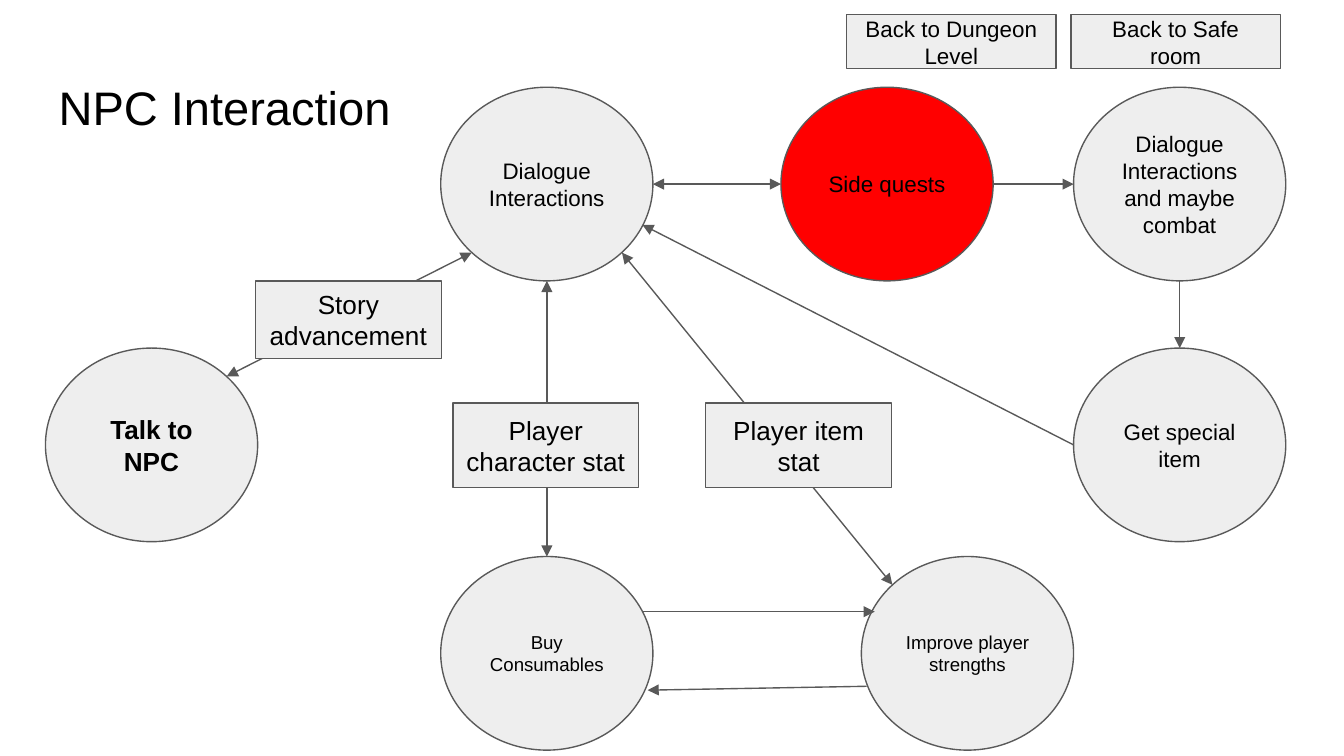
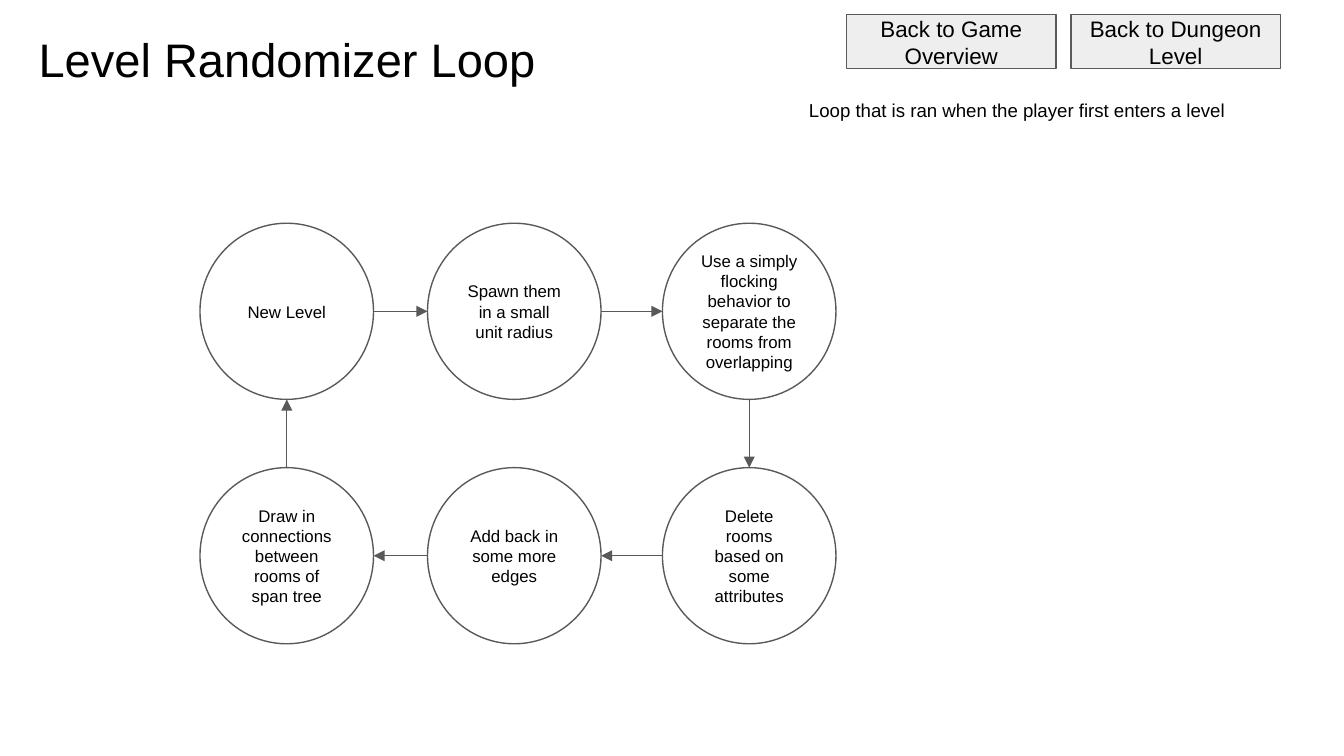
from lxml import etree
from pptx import Presentation
from pptx.dml.color import RGBColor
from pptx.enum.shapes import MSO_CONNECTOR, MSO_SHAPE
from pptx.enum.text import MSO_ANCHOR, PP_ALIGN
from pptx.oxml.ns import qn
from pptx.util import Cm, Pt

OVAL, RECTANGLE = MSO_SHAPE.OVAL, MSO_SHAPE.RECTANGLE
STRAIGHT = MSO_CONNECTOR.STRAIGHT
CENTER, LEFT = PP_ALIGN.CENTER, PP_ALIGN.LEFT
MIDDLE, TOP_ANCHOR = MSO_ANCHOR.MIDDLE, MSO_ANCHOR.TOP

GREY = RGBColor(0xEE, 0xEE, 0xEE)
OUTLINE = RGBColor(0x59, 0x59, 0x59)
RED = RGBColor(0xFF, 0x00, 0x00)
BLACK = RGBColor(0x00, 0x00, 0x00)
FONT = "Arial"
LINE_WIDTH = Pt(0.75)
TITLE_SIZE = 25.2
INSET = Cm(0.25)

# Points on a circle's rim, as fractions of its width and height
TOP, BOTTOM, LEFT_SIDE, RIGHT_SIDE = (0.5, 0), (0.5, 1), (0, 0.5), (1, 0.5)
TOP_LEFT, TOP_RIGHT = (0.146, 0.146), (0.854, 0.146)
BOTTOM_LEFT, BOTTOM_RIGHT = (0.146, 0.854), (0.854, 0.854)


def add_text(slide, kind, text, place, size, fill=None, bold=False):
    """Add a text box (kind None) or an outlined shape with centred text."""
    box = [Cm(length) for length in place]
    if kind is None:
        shape = slide.shapes.add_textbox(*box)
    else:
        shape = slide.shapes.add_shape(kind, *box)
        shape.shadow.inherit = False
        shape.line.color.rgb = OUTLINE
        shape.line.width = LINE_WIDTH
        if fill is None:
            shape.fill.background()
        else:
            shape.fill.solid()
            shape.fill.fore_color.rgb = fill
    frame = shape.text_frame
    frame.word_wrap = True
    frame.vertical_anchor = TOP_ANCHOR if kind is None else MIDDLE
    frame.margin_left = frame.margin_right = INSET
    frame.margin_top = frame.margin_bottom = INSET
    paragraph = frame.paragraphs[0]
    paragraph.text = text
    paragraph.alignment = LEFT if kind is None else CENTER
    paragraph.font.name = FONT
    paragraph.font.size = Pt(size)
    paragraph.font.bold = bold
    paragraph.font.color.rgb = BLACK
    return shape


def add_arrow(slide, start, start_point, end, end_point, both=False):
    """Join two shapes at points given as fractions of their size."""
    ends = []
    for shape, (across, down) in ((start, start_point), (end, end_point)):
        ends.append(round(shape.left + across * shape.width))
        ends.append(round(shape.top + down * shape.height))
    connector = slide.shapes.add_connector(STRAIGHT, *ends)
    connector.line.color.rgb = OUTLINE
    connector.line.width = LINE_WIDTH
    line = connector.line._get_or_add_ln()
    for tag in ("a:headEnd", "a:tailEnd") if both else ("a:tailEnd",):
        etree.SubElement(line, qn(tag), type="triangle")
    etree.SubElement(connector._element.spPr, qn("a:effectLst"))


presentation = Presentation()
presentation.slide_width = Cm(25.4)
presentation.slide_height = Cm(14.29)

# Titles and navigation buttons of both slides
slides = []
for title, left, top, buttons in (
    ("NPC Interaction", 0.86, 1.24, ("Back to Dungeon Level", "Back to Safe room")),
    ("Level Randomizer Loop", 0.48, 0.33, ("Back to Game Overview", "Back to Dungeon Level")),
):
    slide = presentation.slides.add_slide(presentation.slide_layouts[6])
    add_text(slide, None, title, (left, top, 23.67, 1.6), TITLE_SIZE)
    for index, label in enumerate(buttons):
        add_text(slide, RECTANGLE, label, (16 + 4.24 * index, 0.28, 3.96, 1.02), 12, GREY)
    slides.append(slide)
npc_slide, loop_slide = slides

# NPC interaction: states
states = {}
for name, text, left, top, size, fill in (
    ("talk", "Talk to NPC", 0.86, 6.58, 14, GREY),
    ("dialogue", "Dialogue Interactions", 8.33, 1.65, 12, GREY),
    ("buy", "Buy Consumables", 8.33, 10.52, 10, GREY),
    ("improve", "Improve player strengths", 16.28, 10.52, 10, GREY),
    ("quests", "Side quests", 14.76, 1.65, 12, RED),
    ("item", "Get special item", 20.29, 6.58, 12, GREY),
    ("combat", "Dialogue Interactions and maybe combat", 20.29, 1.65, 12, GREY),
):
    states[name] = add_text(npc_slide, OVAL, text, (left, top, 4.01, 3.66),
                            size, fill, bold=name == "talk")

# NPC interaction: arrows
for start, start_point, end, end_point, both in (
    ("talk", TOP_RIGHT, "dialogue", BOTTOM_LEFT, True),
    ("improve", TOP_LEFT, "dialogue", BOTTOM_RIGHT, True),
    ("buy", TOP, "dialogue", BOTTOM, True),
    ("dialogue", RIGHT_SIDE, "quests", LEFT_SIDE, True),
    ("quests", RIGHT_SIDE, "combat", LEFT_SIDE, False),
    ("combat", BOTTOM, "item", TOP, False),
    ("item", LEFT_SIDE, "dialogue", (0.95, 0.71), False),
    ("buy", (0.95, 0.285), "improve", (0.063, 0.285), False),
    ("improve", (0.025, 0.67), "buy", (0.975, 0.69), False),
):
    add_arrow(npc_slide, states[start], start_point, states[end], end_point, both)

# NPC interaction: labels on the arrows
for text, left, top, height in (
    ("Story advancement", 4.83, 5.31, 1.47),
    ("Player item stat", 13.34, 7.62, 1.6),
    ("Player character stat", 8.56, 7.62, 1.6),
):
    add_text(npc_slide, RECTANGLE, text, (left, top, 3.51, height), 14, GREY)

# Level randomizer: caption
add_text(loop_slide, None, "Loop that is ran when the player first enters a level",
         (15.04, 1.65, 9.12, 0.94), 10)

# Level randomizer: steps, clockwise from the top left
columns, rows = (3.78, 8.08, 12.52), (4.22, 8.84)
steps = []
for text, column, row in (
    ("New Level", 0, 0),
    ("Spawn them in a small unit radius", 1, 0),
    ("Use a simply flocking behavior to separate the rooms from overlapping", 2, 0),
    ("Delete rooms based on some attributes", 2, 1),
    ("Add back in some more edges", 1, 1),
    ("Draw in connections between rooms of span tree", 0, 1),
):
    steps.append(add_text(loop_slide, OVAL, text,
                          (columns[column], rows[row], 3.28, 3.33), 9))

# Level randomizer: each step leads to the next, the last to the first
rightward, leftward = (RIGHT_SIDE, LEFT_SIDE), (LEFT_SIDE, RIGHT_SIDE)
downward, upward = (BOTTOM, TOP), (TOP, BOTTOM)
directions = (rightward, rightward, downward, leftward, leftward, upward)
for index, (start_point, end_point) in enumerate(directions):
    following = steps[(index + 1) % len(steps)]
    add_arrow(loop_slide, steps[index], start_point, following, end_point)

presentation.save("out.pptx")
